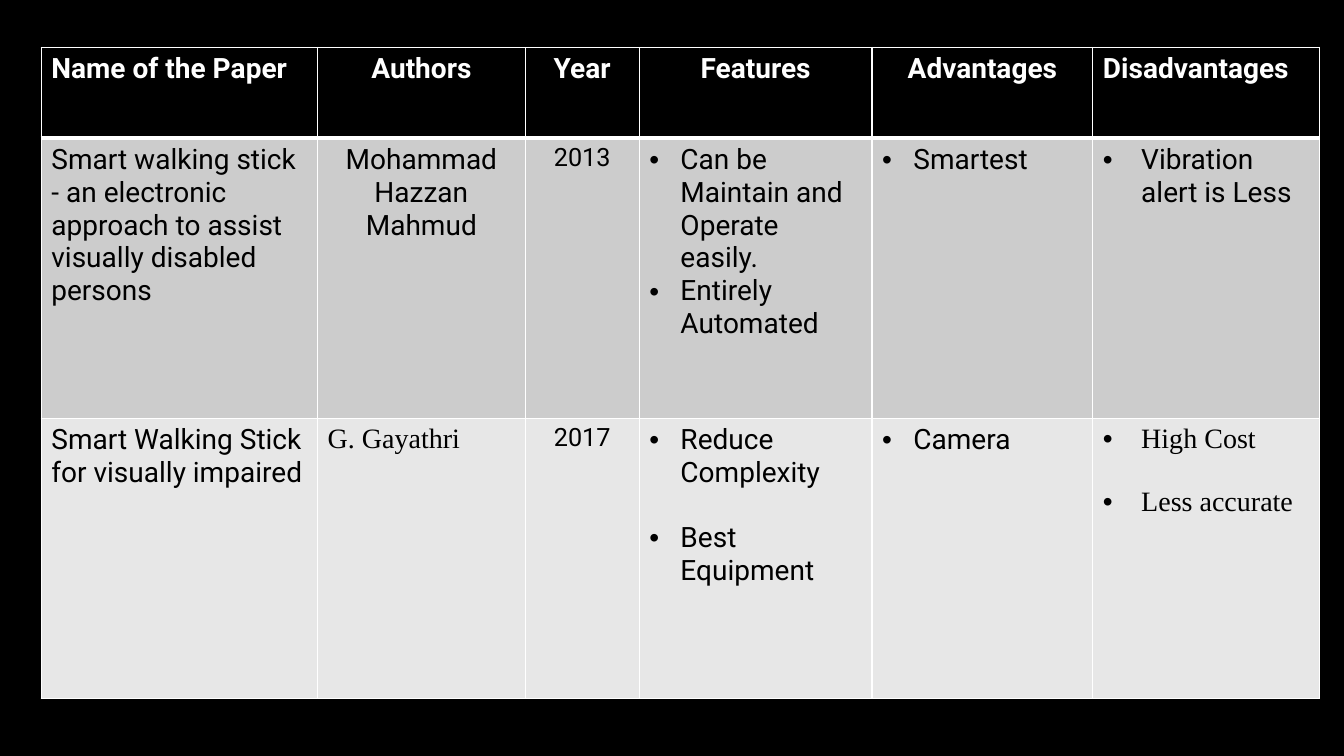
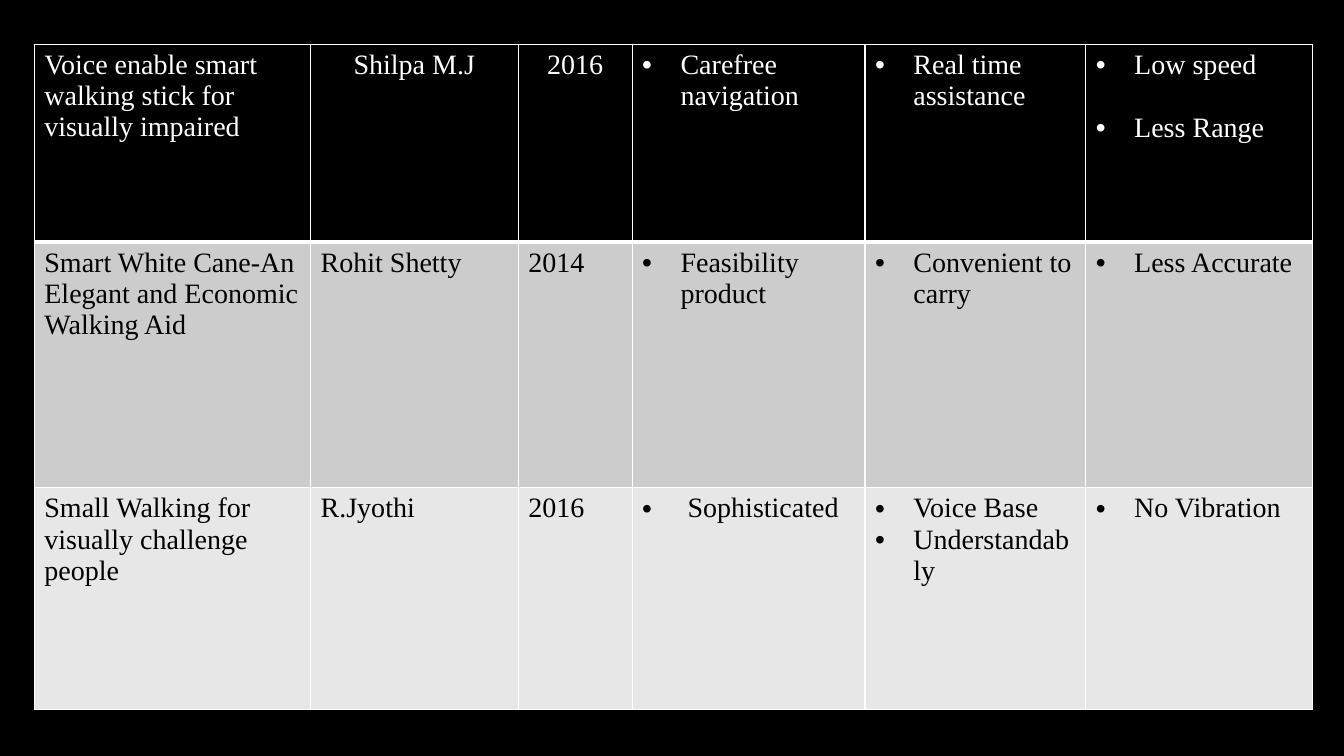
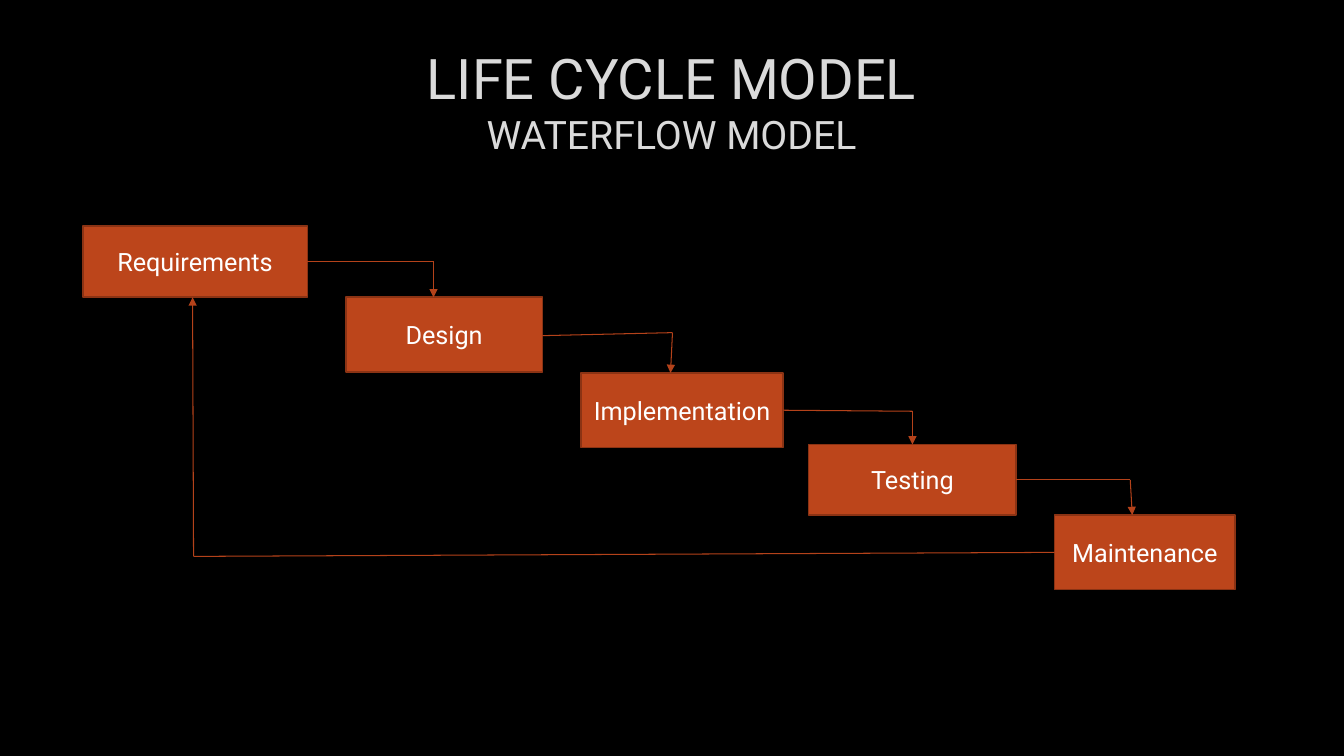
from dataclasses import dataclass
from itertools import pairwise
from lxml.etree import SubElement as SubEl
from pptx import Presentation
from pptx.dml.color import RGBColor
from pptx.enum.shapes import MSO_CONNECTOR as Link, MSO_SHAPE as Shape
from pptx.enum.text import MSO_ANCHOR as Anchor, MSO_AUTO_SIZE as Fit, PP_ALIGN as Align
from pptx.oxml.ns import qn
from pptx.slide import Slide
from pptx.util import Inches, Pt

HUES = {
    "back": "000000", "white": "FFFFFF", "black": "000000", "dark": "CCCCCC",
    "light": "E7E7E7", "title": "DADADA", "step": "BC451B", "edge": "8B3314",
    "arrow": "B4421A",
}
SANS = "Roboto"
SERIF = "Times New Roman"
COLS = [2.74, 2.06, 1.13, 2.31, 2.19, 2.25]
BANDS = [("back", "white"), ("dark", "black"), ("light", "black")]
SIDES = ["L", "R", "T", "B"]


@dataclass
class Cell:
    lines: list[str]
    font: str = SANS
    size: int = 20
    mid: bool = False
    bold: bool = False
    dent: float = 0
    gap: int = 0


@dataclass
class Grid:
    left: float
    top: float
    rows: list[float]
    cells: list[list[Cell]]


@dataclass
class Step:
    name: str
    left: float
    top: float
    wide: float
    high: float


def hue(key: str) -> RGBColor:
    return RGBColor.from_string(HUES[key])


def style(para, font: str, size: int, key: str, bold: bool = False) -> None:
    for run in para.runs:
        run.font.name = font
        run.font.size = Pt(size)
        run.font.bold = bold
        run.font.color.rgb = hue(key)


def head(text: str, mid: bool = True) -> Cell:
    return Cell([text], mid=mid, bold=True)


def serif(text: str, mid: bool = False) -> Cell:
    return Cell([text], font=SERIF, mid=mid)


def items(*lines: str, font: str = SERIF, dent: float = 0.38, gap: int = 0) -> Cell:
    return Cell(list(lines), font=font, dent=dent, gap=gap)


def sans(*lines: str, gap: int = 0) -> Cell:
    return items(*lines, font=SANS, dent=0.31, gap=gap)


def edge(props, side: str, width: float) -> None:
    line = SubEl(props, qn(f"a:ln{side}"), w=str(Pt(width)))
    fill = SubEl(line, qn("a:solidFill"))
    SubEl(fill, qn("a:srgbClr"), val=HUES["white"])


def bullet(para, dent: float) -> None:
    props = para._p.get_or_add_pPr()
    props.set("marL", str(Inches(dent)))
    props.set("indent", str(-Inches(dent)))
    SubEl(props, qn("a:buFont"), typeface="Arial")
    SubEl(props, qn("a:buChar"), char="•")


def fill_cell(box, cell: Cell, row: int) -> None:
    back, ink = BANDS[row]
    props = box._tc.get_or_add_tcPr()
    for side in SIDES:
        thick = (row, side) in [(0, "B"), (1, "T")]
        edge(props, side, 3 if thick else 1)
    box.fill.solid()
    box.fill.fore_color.rgb = hue(back)
    box.text_frame.text = "\n".join(cell.lines)
    for num, para in enumerate(box.text_frame.paragraphs):
        para.alignment = Align.CENTER if cell.mid else Align.LEFT
        if num and cell.gap:
            para.space_before = Pt(cell.gap)
        if cell.dent:
            bullet(para, cell.dent)
        style(para, cell.font, cell.size, ink, cell.bold)


def draw_grid(slide: Slide, grid: Grid) -> None:
    table = slide.shapes.add_table(
        len(grid.rows), len(COLS), Inches(grid.left), Inches(grid.top),
        Inches(sum(COLS)), Inches(sum(grid.rows))).table
    table.first_row = False
    table.horz_banding = False
    for col, wide in zip(table.columns, COLS):
        col.width = Inches(wide)
    for num, high in enumerate(grid.rows):
        table.rows[num].height = Inches(high)
        for col, cell in enumerate(grid.cells[num]):
            fill_cell(table.cell(num, col), cell, num)


def draw_title(slide: Slide, lines: list[str], sizes: list[int]) -> None:
    title = slide.shapes.title
    title.left, title.top = Inches(1), Inches(0.33)
    title.width, title.height = Inches(11.32), Inches(1.06)
    frame = title.text_frame
    frame.text = "\n".join(lines)
    frame.auto_size = Fit.NONE
    frame.vertical_anchor = Anchor.TOP
    frame.margin_top = Inches(0.1)
    for para, size in zip(frame.paragraphs, sizes):
        para.alignment = Align.CENTER
        style(para, SANS, size, "title")


def draw_step(slide: Slide, step: Step) -> None:
    box = slide.shapes.add_shape(
        Shape.RECTANGLE, Inches(step.left), Inches(step.top),
        Inches(step.wide), Inches(step.high))
    box.shadow.inherit = False
    box.fill.solid()
    box.fill.fore_color.rgb = hue("step")
    box.line.color.rgb = hue("edge")
    box.line.width = Pt(1.25)
    frame = box.text_frame
    frame.text = step.name
    frame.word_wrap = True
    frame.vertical_anchor = Anchor.MIDDLE
    para = frame.paragraphs[0]
    para.alignment = Align.CENTER
    style(para, SANS, 18, "white")


def draw_route(slide: Slide, route: list[tuple[float, float]]) -> None:
    for start, end in pairwise(route):
        line = slide.shapes.add_connector(
            Link.STRAIGHT, *map(Inches, start), *map(Inches, end))
        line.line.color.rgb = hue("arrow")
        line.line.width = Pt(0.75)
        props = line.element.spPr
        if end == route[-1]:
            SubEl(props.find(qn("a:ln")), qn("a:tailEnd"), type="triangle")
        SubEl(props, qn("a:effectLst"))


GRIDS = [
    Grid(0.41, 0.47, [0.9, 2.78, 2.78], [
        [head("Name of the Paper", False), head("Authors"), head("Year"),
         head("Features"), head("Advantages"), head("Disadvantages", False)],
        [Cell(["Smart walking stick - an electronic approach to assist "
               "visually disabled persons"]),
         Cell(["Mohammad Hazzan Mahmud"], mid=True),
         Cell(["2013"], size=18, mid=True),
         sans("Can be Maintain and Operate easily.", "Entirely Automated"),
         sans("Smartest"),
         items("Vibration alert is Less", font=SANS)],
        [Cell(["Smart Walking Stick for visually impaired"]),
         serif("G. Gayathri"),
         Cell(["2017"], size=18, mid=True),
         sans("Reduce Complexity", "Best Equipment", gap=23),
         sans("Camera"),
         items("High Cost", "Less accurate", gap=23)],
    ]),
    Grid(0.34, 0.44, [1.96, 2.44, 2.2], [
        [serif("Voice enable smart walking stick for visually impaired"),
         serif("Shilpa M.J", True), serif("2016", True),
         items("Carefree navigation"), items("Real time assistance"),
         items("Low speed", "Less Range", gap=23)],
        [serif("Smart White Cane-An Elegant and Economic Walking Aid"),
         serif("Rohit Shetty"), serif("2014"),
         items("Feasibility product"), items("Convenient to carry"),
         items("Less Accurate")],
        [serif("Small Walking for visually challenge people"),
         serif("R.Jyothi"), serif("2016"),
         items("Sophisticated", dent=0.45),
         items("Voice Base", "Understandably"), items("No Vibration")],
    ]),
]
STEPS = [
    Step("Requirements", 0.82, 2.24, 2.23, 0.71),
    Step("Design", 3.43, 2.95, 1.95, 0.74),
    Step("Implementation", 5.76, 3.7, 2.01, 0.74),
    Step("Testing", 8.02, 4.41, 2.06, 0.7),
    Step("Maintenance", 10.46, 5.11, 1.79, 0.74),
]
ROUTES = [
    [(3.04, 2.59), (4.3, 2.59), (4.3, 2.95)],
    [(5.38, 3.33), (6.67, 3.3), (6.65, 3.7)],
    [(7.77, 4.07), (9.05, 4.08), (9.05, 4.41)],
    [(10.08, 4.76), (11.21, 4.76), (11.23, 5.11)],
    [(10.46, 5.48), (1.92, 5.52), (1.91, 2.95)],
]

deck = Presentation()
deck.slide_width, deck.slide_height = Inches(13.33), Inches(7.5)
paint = deck.slide_master.background.fill
paint.solid()
paint.fore_color.rgb = hue("back")
bare = deck.slide_layouts.get_by_name("Blank")
titled = deck.slide_layouts.get_by_name("Title Only")

for grid in GRIDS:
    draw_grid(deck.slides.add_slide(bare), grid)

cycle = deck.slides.add_slide(titled)
draw_title(cycle, ["LIFE CYCLE MODEL", "WATERFLOW MODEL"], [40, 28])
for step in STEPS:
    draw_step(cycle, step)
for route in ROUTES:
    draw_route(cycle, route)

deck.save("out.pptx")
